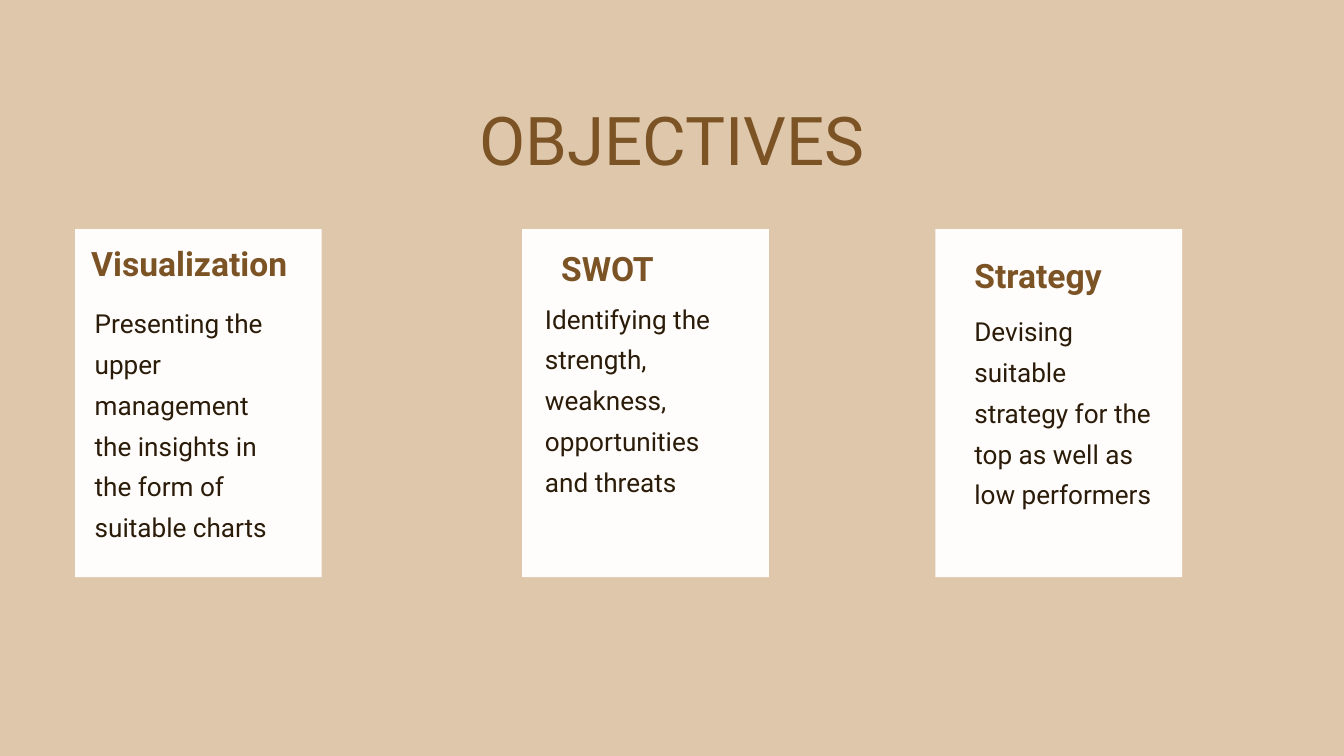
from pptx import Presentation
from pptx.dml.color import RGBColor
from pptx.enum.shapes import MSO_SHAPE as Shape
from pptx.enum.text import MSO_AUTO_SIZE as AutoSize, PP_ALIGN as Align
from pptx.util import Cm, Pt

SAND, WHITE, BROWN, DARK = "DFC7AB", "FFFDFC", "7B5325", "2B1C09"
FONT = "Roboto"
SLIDE_W, SLIDE_H = 50.8, 28.58
CARD_TOP, CARD_W, CARD_H = 8.66, 9.32, 13.16
HEADING_H, BODY_W = 2.0, 6.96

# Card left, heading, heading offset and width, body, body offset and height
OBJECTIVES = [
    (2.84, "Visualization", (0.61, 0.08), 7.82,
     "Presenting the upper management the insights in the form of suitable charts",
     (0.74, 2.62), 9.35),
    (19.74, "SWOT", (1.47, 0.25), 6.35,
     "Identifying the strength, weakness, opportunities and threats",
     (0.86, 2.44), 7.77),
    (35.36, "Strategy", (1.47, 0.53), 6.35,
     "Devising suitable strategy for the top as well as low performers",
     (1.47, 2.92), 7.77),
]


def paint(fill, color):
    fill.solid()
    fill.fore_color.rgb = RGBColor.from_string(color)


def add_text(slide, box, text, size, color, spacing=1.3, bold=False, align=Align.LEFT):
    frame = slide.shapes.add_textbox(*map(Cm, box)).text_frame
    frame.margin_left = frame.margin_right = frame.margin_top = frame.margin_bottom = 0
    frame.word_wrap = True
    frame.auto_size = AutoSize.SHAPE_TO_FIT_TEXT
    paragraph = frame.paragraphs[0]
    paragraph.alignment = align
    paragraph.line_spacing = spacing
    run = paragraph.add_run()
    run.text = text
    run.font.name = FONT
    run.font.size = Pt(size)
    run.font.bold = bold
    run.font.color.rgb = RGBColor.from_string(color)


def add_title(slide, box):
    add_text(slide, box, "OBJECTIVES", 72, BROWN, spacing=1.4, align=Align.CENTER)


def add_card(slide, box, heading, heading_offset, heading_w, body, body_offset, body_h):
    left, top = box[:2]

    # Card background
    card = slide.shapes.add_shape(Shape.RECTANGLE, *map(Cm, box))
    card.shadow.inherit = False
    paint(card.fill, WHITE)
    card.line.fill.background()

    # Description and heading
    dx, dy = body_offset
    add_text(slide, (left + dx, top + dy, BODY_W, body_h), body, 28, DARK)
    dx, dy = heading_offset
    add_text(slide, (left + dx, top + dy, heading_w, HEADING_H), heading, 36, BROWN, bold=True)


def main():
    deck = Presentation()
    deck.slide_width, deck.slide_height = Cm(SLIDE_W), Cm(SLIDE_H)
    slide = deck.slides.add_slide(deck.slide_layouts[6])
    paint(slide.background.fill, SAND)

    title_w = 16.86
    add_title(slide, ((SLIDE_W - title_w) / 2, 2.49, title_w, 4.32))
    for left, *content in OBJECTIVES:
        add_card(slide, (left, CARD_TOP, CARD_W, CARD_H), *content)

    deck.save("out.pptx")


if __name__ == "__main__":
    main()
